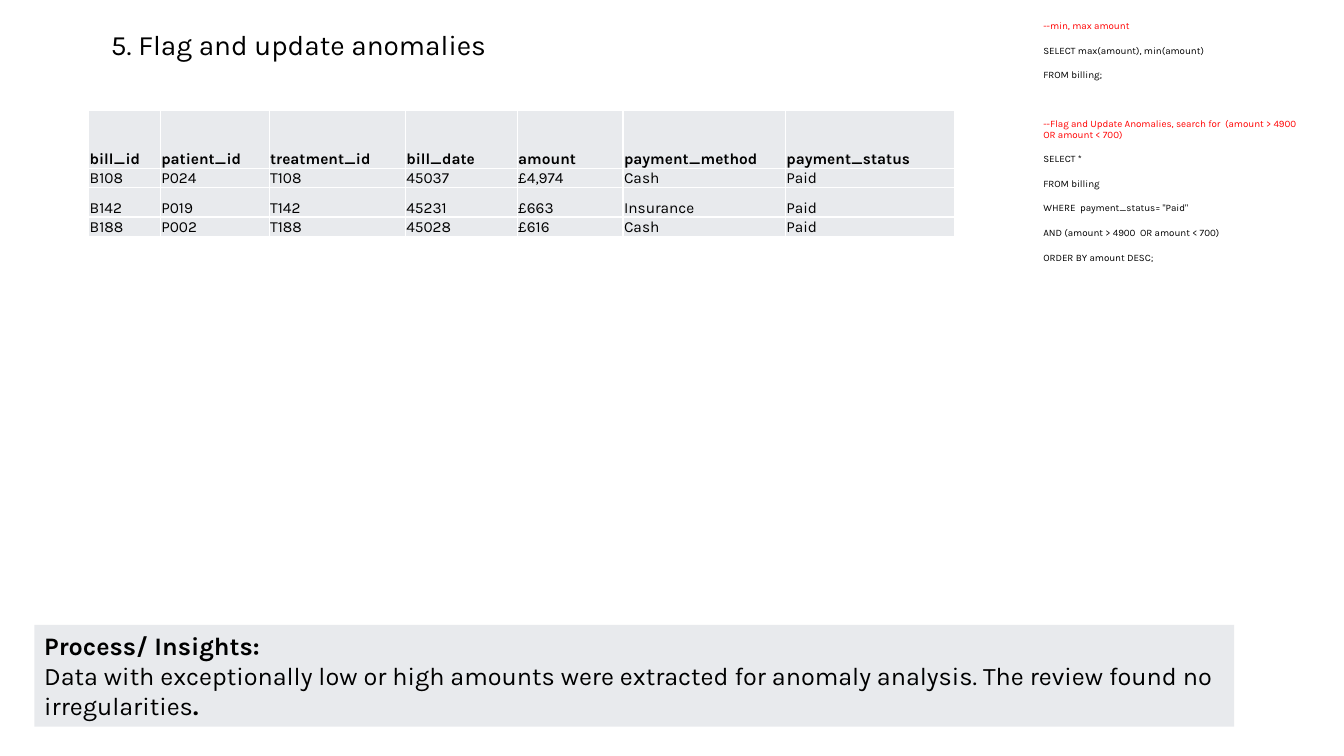
from pptx import Presentation
from pptx.dml.color import RGBColor as RGB
from pptx.enum.shapes import MSO_SHAPE as Shape
from pptx.enum.text import MSO_ANCHOR as Anchor, MSO_AUTO_SIZE as Fit, PP_ALIGN as Align
from pptx.oxml.ns import qn
from pptx.util import Inches, Pt
from lxml.etree import SubElement as Sub

# Content
TITLE = "5. Flag and update anomalies"
QUERIES = [
    ["--min, max amount", "SELECT max(amount), min(amount)", "FROM billing;"],
    ["--Flag and Update Anomalies, search for  (amount > 4900  OR amount < 700)",
     "SELECT *", "FROM billing", 'WHERE  payment_status= "Paid"',
     "AND (amount > 4900  OR amount < 700)", "ORDER BY amount DESC;"],
]
BILLS = [
    ["bill_id", "patient_id", "treatment_id", "bill_date", "amount",
     "payment_method", "payment_status"],
    ["B108", "P024", "T108", "45037", "£4,974", "Cash", "Paid"],
    ["B142", "P019", "T142", "45231", "£663", "Insurance", "Paid"],
    ["B188", "P002", "T188", "45028", "£616", "Cash", "Paid"],
]
HEAD = "Process/ Insights:"
BODY = ("Data with exceptionally low or high amounts were extracted for anomaly "
        "analysis. The review found no irregularities")

# Sizes in inches
WIDTHS = [0.71, 1.08, 1.35, 1.11, 1.05, 1.61, 1.68]
HEIGHTS = [0.57, 0.15, 0.29, 0.15]
BOXES = {
    "title": (1, 0.22, 5.66, 0.77),
    "code": (10.25, 0.16, 2.74, 2.65),
    "table": (0.88, 1.1, sum(WIDTHS), sum(HEIGHTS)),
    "note": (0.34, 6.2, 11.9, 1.01),
}


class Theme:
    font = "Karla"
    ink, red, grey = RGB(0, 0, 0), RGB(255, 0, 0), RGB(0xE8, 0xEA, 0xED)
    rule = "FFFFFF"
    title, code, cell, note = Pt(20), Pt(7), Pt(11), Pt(18)


def place(name):
    return [Inches(n) for n in BOXES[name]]


def assign(item, **vals):
    for key, val in vals.items():
        setattr(item, key, val)


def write(para, text, size, color=Theme.ink, bold=False):
    run = para.add_run()
    run.text = text
    assign(run.font, name=Theme.font, size=size, bold=bold)
    run.font.color.rgb = color


def paint(item, color):
    item.fill.solid()
    item.fill.fore_color.rgb = color


def edge(cell):
    props = cell._tc.get_or_add_tcPr()
    for i, tag in enumerate(["a:lnL", "a:lnR", "a:lnT", "a:lnB"]):
        line = props.makeelement(qn(tag), {"w": str(Pt(1))})
        props.insert(i, line)
        fill = Sub(line, qn("a:solidFill"))
        Sub(fill, qn("a:srgbClr"), val=Theme.rule)


def main():
    deck = Presentation()
    assign(deck, slide_width=Inches(13.33), slide_height=Inches(7.5))
    slide = deck.slides.add_slide(deck.slide_layouts[5])
    shapes = slide.shapes

    # Title
    title = shapes.title
    left, top, width, height = place("title")
    assign(title, left=left, top=top, width=width, height=height)
    frame = title.text_frame
    assign(frame, word_wrap=True, auto_size=Fit.NONE, vertical_anchor=Anchor.TOP)
    frame.paragraphs[0].alignment = Align.LEFT
    write(frame.paragraphs[0], TITLE, Theme.title)

    # Queries: a comment in red, then its lines
    frame = shapes.add_textbox(*place("code")).text_frame
    frame.word_wrap = True
    para = frame.paragraphs[0]
    for q, query in enumerate(QUERIES):
        for i, text in enumerate(query):
            if q or i:
                para = frame.add_paragraph()
            gap = Pt(27.5) if q and not i else Pt(10)
            assign(para, line_spacing=0.9, space_before=gap)
            write(para, text, Theme.code, Theme.ink if i else Theme.red)

    # Table of flagged bills
    table = shapes.add_table(len(BILLS), len(WIDTHS), *place("table")).table
    table.horz_banding = False
    for col, size in zip(table.columns, WIDTHS):
        col.width = Inches(size)
    for r, (row, size) in enumerate(zip(table.rows, HEIGHTS)):
        row.height = Inches(size)
        for cell, text in zip(row.cells, BILLS[r]):
            pad = Inches(0.01)
            assign(cell, vertical_anchor=Anchor.BOTTOM, margin_left=pad,
                   margin_right=pad, margin_top=pad, margin_bottom=0)
            write(cell.text_frame.paragraphs[0], text, Theme.cell, bold=r == 0)
            paint(cell, Theme.grey)
            edge(cell)

    # Insights panel
    note = shapes.add_shape(Shape.RECTANGLE, *place("note"))
    note.shadow.inherit = False
    paint(note, Theme.grey)
    note.line.fill.background()
    frame = note.text_frame
    assign(frame, word_wrap=True, vertical_anchor=Anchor.TOP)
    first, second = frame.paragraphs[0], frame.add_paragraph()
    for para in (first, second):
        para.alignment = Align.LEFT
    write(first, HEAD, Theme.note, bold=True)
    write(second, BODY, Theme.note)
    write(second, ".", Theme.note, bold=True)

    deck.save("out.pptx")


if __name__ == "__main__":
    main()
